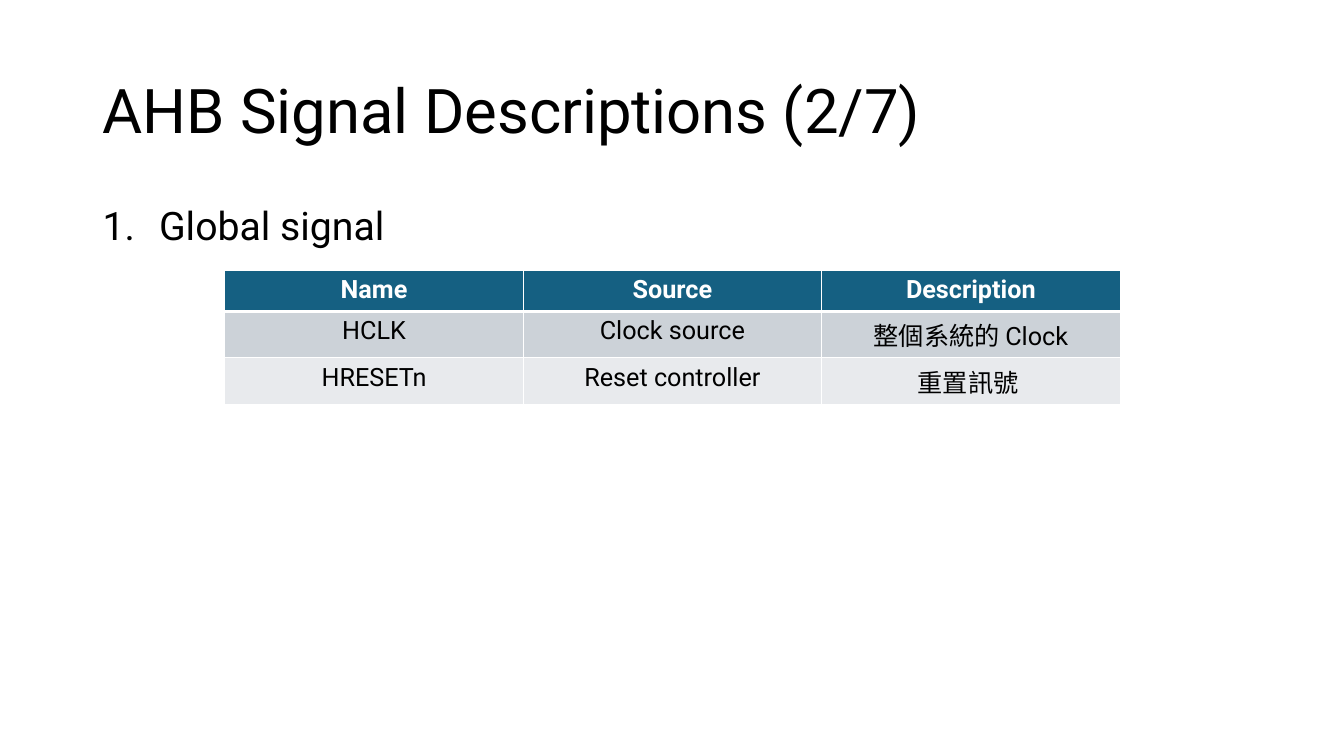
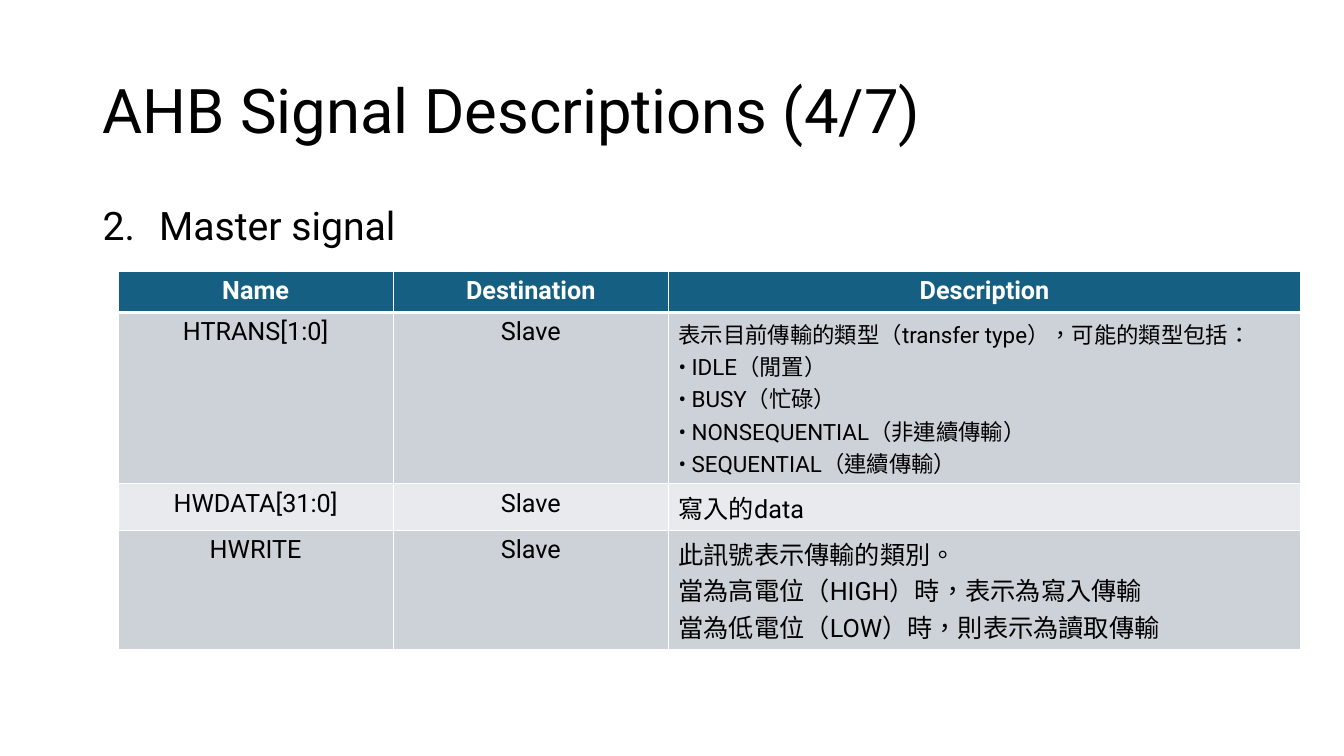
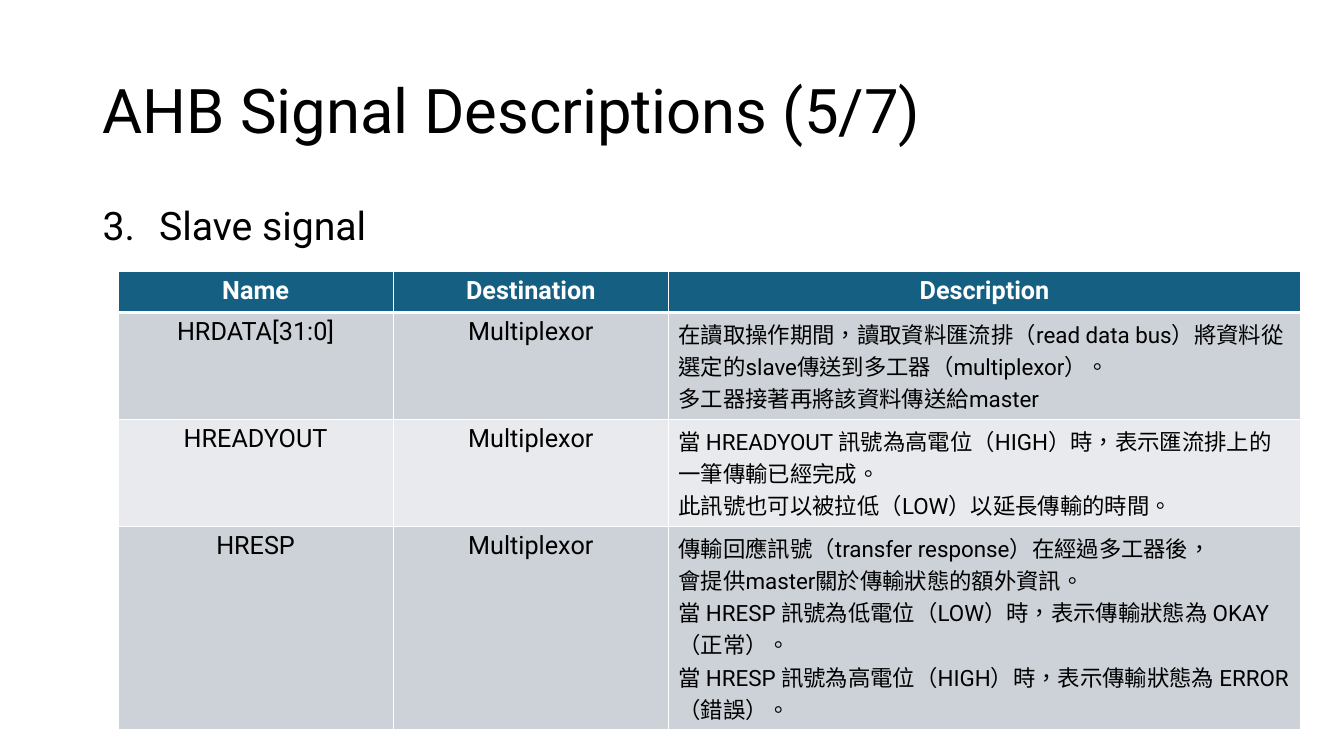
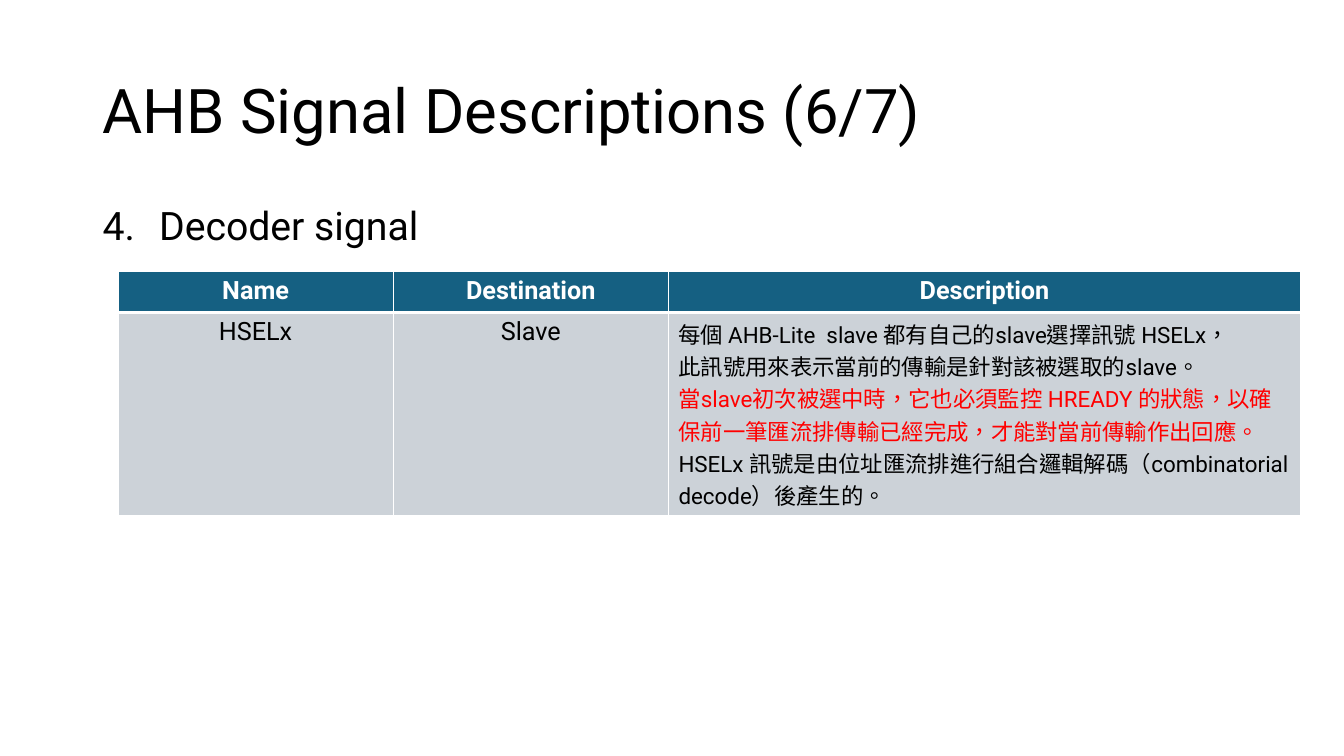
from dataclasses import dataclass

from lxml.etree import SubElement
from pptx import Presentation
from pptx.dml.color import RGBColor
from pptx.enum.lang import MSO_LANGUAGE_ID
from pptx.enum.text import MSO_ANCHOR, PP_ALIGN
from pptx.oxml.ns import qn
from pptx.util import Inches, Pt

COLORS = {
    "text": "000000",
    "inverse": "FFFFFF",
    "alert": "FF0000",
    "header": "156082",
    "odd_row": "CCD2D8",
    "even_row": "E8EAED",
    "border": "FFFFFF",
}
FONT = "Roboto"
TITLE_BOX = (0.92, 0.4, 11.5, 1.45)
HEADING_BOX = (0.92, 2, 11.5, 4.76)
HEADER_HEIGHT = 0.41
CELL_PADDING = 0.1
LINE_HEIGHT_PER_POINT = 0.02
NUMBER_INDENT = 0.56


@dataclass
class Signal:
    """One row of a signal table; the alert line is drawn in red."""

    name: str
    endpoint: str
    lines: list
    size: int = 18
    wrapped_lines: int = 0
    alert_line: int = -1

    def height(self):
        """Return the row height that holds all lines of the description."""
        line_count = len(self.lines) + self.wrapped_lines
        return CELL_PADDING + line_count * self.size * LINE_HEIGHT_PER_POINT


@dataclass
class SignalTable:
    """The place, columns and signals of one table."""

    left: float
    top: float
    columns: list
    endpoint_title: str
    signals: list
    description_align: PP_ALIGN = PP_ALIGN.LEFT


def wide_table(signals):
    """Return a table with a broad column for long descriptions."""
    return SignalTable(1.17, 2.69, [2.73, 2.73, 6.27], "Destination", signals)


SECTIONS = [
    (2, 1, "Global signal", SignalTable(2.23, 2.68, [2.96] * 3, "Source", [
        Signal("HCLK", "Clock source", ["整個系統的 Clock"]),
        Signal("HRESETn", "Reset controller", ["重置訊號 "]),
    ], PP_ALIGN.CENTER)),
    (4, 2, "Master signal", wide_table([
        Signal("HTRANS[1:0]", "Slave", [
            "表示目前傳輸的類型（transfer type），可能的類型包括：",
            "• IDLE（閒置）",
            "• BUSY（忙碌）",
            "• NONSEQUENTIAL（非連續傳輸）",
            "• SEQUENTIAL（連續傳輸）",
        ], 16),
        Signal("HWDATA[31:0]", "Slave", ["寫入的data"]),
        Signal("HWRITE", "Slave", [
            "此訊號表示傳輸的類別。",
            "當為高電位（HIGH）時，表示為寫入傳輸",
            "當為低電位（LOW）時，則表示為讀取傳輸",
        ]),
    ])),
    (5, 3, "Slave signal", wide_table([
        Signal("HRDATA[31:0]", "Multiplexor", [
            "在讀取操作期間，讀取資料匯流排（read data bus）將資料從選定的slave傳送到多工器（multiplexor）。",
            "多工器接著再將該資料傳送給master",
        ], 16, wrapped_lines=1),
        Signal("HREADYOUT", "Multiplexor", [
            "當 HREADYOUT 訊號為高電位（HIGH）時，表示匯流排上的一筆傳輸已經完成。",
            "此訊號也可以被拉低（LOW）以延長傳輸的時間。",
        ], 16, wrapped_lines=1),
        Signal("HRESP", "Multiplexor", [
            "傳輸回應訊號（transfer response）在經過多工器後，",
            "會提供master關於傳輸狀態的額外資訊。",
            "當 HRESP 訊號為低電位（LOW）時，表示傳輸狀態為 OKAY（正常）。",
            "當 HRESP 訊號為高電位（HIGH）時，表示傳輸狀態為 ERROR（錯誤）。",
        ], 16, wrapped_lines=2),
    ])),
    (6, 4, "Decoder signal", wide_table([
        Signal("HSELx", "Slave", [
            "每個 AHB-Lite  slave 都有自己的slave選擇訊號 HSELx，",
            "此訊號用來表示當前的傳輸是針對該被選取的slave。",
            "當slave初次被選中時，它也必須監控 HREADY 的狀態，以確保前一筆匯流排傳輸已經完成，才能對當前傳輸作出回應。",
            "HSELx 訊號是由位址匯流排進行組合邏輯解碼（combinatorial decode）後產生的。",
        ], 16, wrapped_lines=2, alert_line=2),
    ])),
]


def color(name):
    """Return the named colour."""
    return RGBColor.from_string(COLORS[name])


def write_paragraph(paragraph, text, size, color_name="text", bold=False, **layout):
    """Write one run and apply font and paragraph settings."""
    run = paragraph.add_run()
    run.text = text
    font_values = {"name": FONT, "size": Pt(size), "bold": bold,
                   "language_id": MSO_LANGUAGE_ID.TRADITIONAL_CHINESE}
    for target, values in ((run.font, font_values), (paragraph, layout)):
        for attribute, value in values.items():
            setattr(target, attribute, value)
    run.font.color.rgb = color(color_name)


def add_text(slide, box, text, size, anchor, **layout):
    """Add a wrapped text box and return its paragraph."""
    frame = slide.shapes.add_textbox(*map(Inches, box)).text_frame
    frame.word_wrap = True
    frame.vertical_anchor = anchor
    paragraph = frame.paragraphs[0]
    write_paragraph(paragraph, text, size, line_spacing=0.9, **layout)
    return paragraph


def add_heading(slide, box, number, text):
    """Add the numbered heading."""
    paragraph = add_text(slide, box, text, 28, MSO_ANCHOR.TOP, space_before=Pt(10))
    properties = paragraph._p.get_or_add_pPr()
    indent = Inches(NUMBER_INDENT)
    properties.set("marL", str(indent))
    properties.set("indent", str(-indent))
    SubElement(properties, qn("a:buFont"), typeface="+mj-lt")
    SubElement(properties, qn("a:buAutoNum"), type="arabicPeriod", startAt=str(number))


def style_cell(cell, row):
    """Set the borders and fill for a cell in the given row."""
    properties = cell._tc.get_or_add_tcPr()
    widths = {"lnL": 1, "lnR": 1, "lnT": 3 if row == 1 else 1, "lnB": 3 if row == 0 else 1}
    for tag, width in widths.items():
        line = SubElement(properties, qn(f"a:{tag}"), w=str(Pt(width)))
        fill = SubElement(line, qn("a:solidFill"))
        SubElement(fill, qn("a:srgbClr"), val=COLORS["border"])
    cell.fill.solid()
    fill_name = "header" if row == 0 else "odd_row" if row % 2 else "even_row"
    cell.fill.fore_color.rgb = color(fill_name)


def write_cell(cell, lines, size=18, color_name="text", bold=False,
               alignment=PP_ALIGN.CENTER, alert_line=-1):
    """Write each line as a paragraph of the cell."""
    frame = cell.text_frame
    for index, line in enumerate(lines):
        paragraph = frame.add_paragraph() if index else frame.paragraphs[0]
        line_color = "alert" if index == alert_line else color_name
        write_paragraph(paragraph, line, size, line_color, bold, alignment=alignment)


def add_signal_table(slide, content):
    """Add a header row and one row for each signal."""
    heights = [HEADER_HEIGHT] + [signal.height() for signal in content.signals]
    table = slide.shapes.add_table(
        len(heights), len(content.columns), Inches(content.left), Inches(content.top),
        Inches(sum(content.columns)), Inches(sum(heights))).table
    for column, width in zip(table.columns, content.columns):
        column.width = Inches(width)
    for row_index, (row, height) in enumerate(zip(table.rows, heights)):
        row.height = Inches(height)
        for cell in row.cells:
            style_cell(cell, row_index)
    for column, title in enumerate(("Name", content.endpoint_title, "Description")):
        write_cell(table.cell(0, column), [title], color_name="inverse", bold=True)
    for row_index, signal in enumerate(content.signals, 1):
        write_cell(table.cell(row_index, 0), [signal.name])
        write_cell(table.cell(row_index, 1), [signal.endpoint])
        write_cell(table.cell(row_index, 2), signal.lines, signal.size,
                   alignment=content.description_align, alert_line=signal.alert_line)


def add_signal_slide(presentation, part, number, heading, content):
    """Add one slide with a title, a numbered heading and a table."""
    slide = presentation.slides.add_slide(presentation.slide_layouts[6])
    add_text(slide, TITLE_BOX, f"AHB Signal Descriptions ({part}/7)", 44, MSO_ANCHOR.MIDDLE)
    add_heading(slide, HEADING_BOX, number, heading)
    add_signal_table(slide, content)


def main():
    """Build and save the presentation."""
    presentation = Presentation()
    presentation.slide_width = Inches(13.33)
    presentation.slide_height = Inches(7.5)
    for section in SECTIONS:
        add_signal_slide(presentation, *section)
    presentation.save("out.pptx")


if __name__ == "__main__":
    main()
